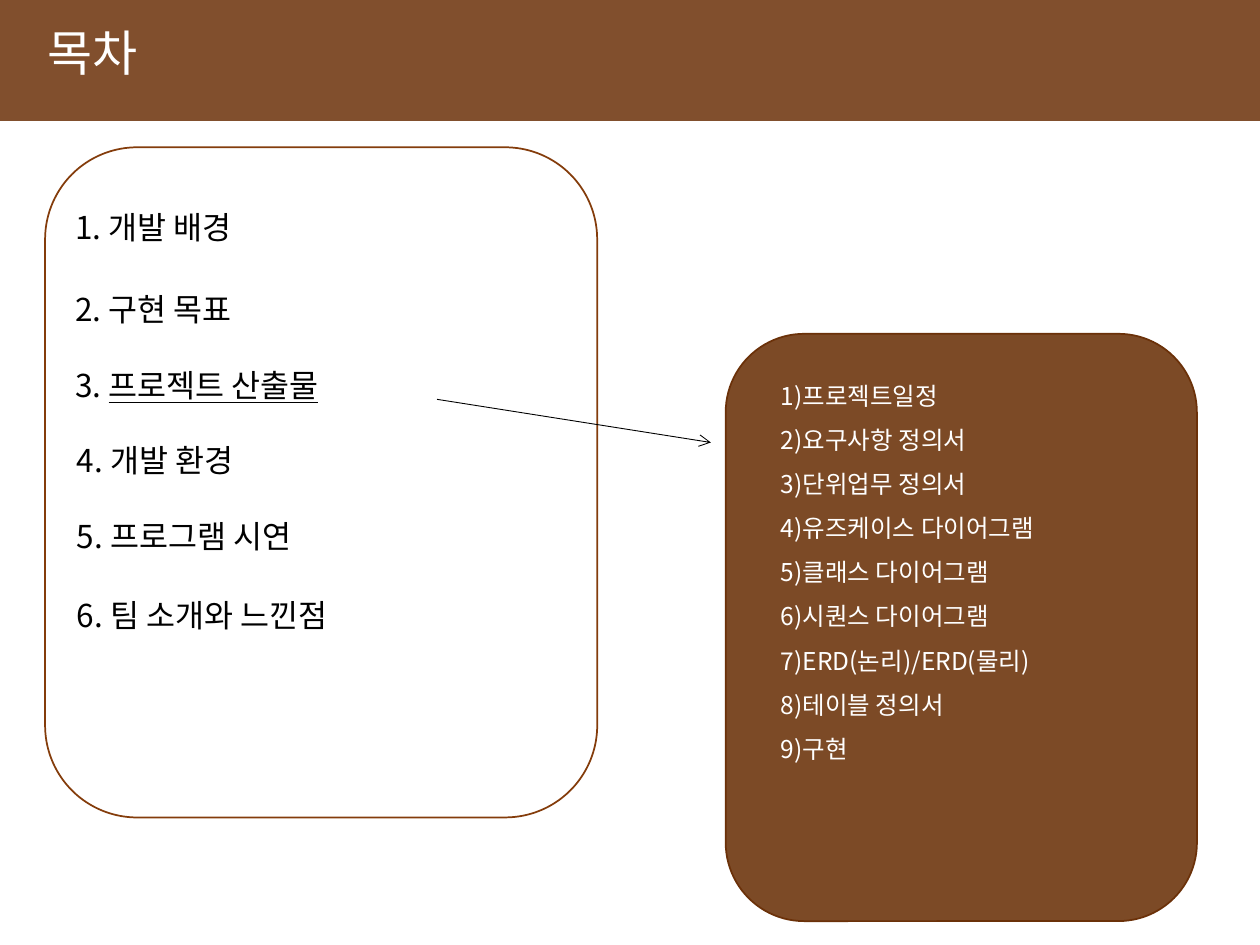
from lxml import etree
from pptx import Presentation
from pptx import util as u
from pptx.dml.color import RGBColor
from pptx.enum import shapes, text
from pptx.oxml import ns

KOREAN = "Noto Sans CJK KR"
BROWN = "6B3109"


def paint(fill, color, opacity=100):
    """Make a fill solid, with its opacity in percent."""
    fill.solid()
    fill.fore_color.rgb = RGBColor.from_string(color)
    if opacity < 100:
        solid = fill._xPr.find(ns.qn("a:solidFill"))
        etree.SubElement(solid[0], ns.qn("a:alpha"), val=str(opacity * 1000))


def add_text(left, top, width, height, lines, size, color, latin=KOREAN, spacing=None):
    """Add an unwrapped text box, one paragraph a line."""
    box = page.shapes.add_textbox(u.Cm(left), u.Cm(top), u.Cm(width), u.Cm(height))
    frame = box.text_frame
    frame.word_wrap = False
    frame.auto_size = text.MSO_AUTO_SIZE.SHAPE_TO_FIT_TEXT
    frame.text = "\n".join(lines)
    for para in frame.paragraphs:
        para.line_spacing = spacing
        for span in para.runs:
            span.font.size = u.Pt(size)
            span.font.name = latin
            paint(span.font.fill, color)
            etree.SubElement(span._r.get_or_add_rPr(), ns.qn("a:ea"), typeface=KOREAN)
    return box


deck = Presentation()
deck.slide_width, deck.slide_height = u.Cm(25.4), u.Cm(19.05)
page = deck.slides.add_slide(deck.slide_layouts[6])

# Title band
band = page.shapes.add_shape(shapes.MSO_SHAPE.RECTANGLE, 0, 0, deck.slide_width, u.Cm(2.44))
band.shadow.inherit = False
paint(band.fill, BROWN, 85)
band.line.fill.background()
add_text(0.7, 0.33, 2.5, 1.45, ["목차"], 28, "FFFFFF", latin="Calibri")

# Contents: left, top, width, wording
contents = [
    (1.27, 4.06, 4.06, "개발 배경"),
    (1.27, 5.72, 4.06, "구현 목표"),
    (1.27, 7.26, 5.99, "프로젝트 산출물"),
    (1.3, 8.76, 4.06, "개발 환경"),
    (1.3, 10.29, 5.36, "프로그램 시연"),
    (1.3, 11.89, 6.22, "팀 소개와 느낀점"),
]
for number, (left, top, width, wording) in enumerate(contents, 1):
    item = add_text(left, top, width, 1.02, [f"{number}. {wording}"], 18, "000000")
    if wording == "프로젝트 산출물":
        # Underline the wording but not its number
        para = item.text_frame.paragraphs[0]
        span = para.runs[0]
        span.text = f"{number}. "
        underlined = para.add_run()
        underlined.text = wording
        underlined.font.size = u.Pt(18)
        underlined.font.name = KOREAN
        underlined.font.underline = True
        paint(underlined.font.fill, "000000")
        etree.SubElement(underlined._r.get_or_add_rPr(), ns.qn("a:ea"), typeface=KOREAN)

# Contents frame
frame = page.shapes.add_shape(
    shapes.MSO_SHAPE.ROUNDED_RECTANGLE, u.Cm(0.91), u.Cm(2.97), u.Cm(11.13), u.Cm(13.51))
frame.shadow.inherit = False
frame.fill.background()
paint(frame.line.fill, "843C0B")
frame.line.width = u.Pt(1)

# Arrow to the details
arrow = page.shapes.add_connector(
    shapes.MSO_CONNECTOR.STRAIGHT, u.Cm(8.81), u.Cm(8.05), u.Cm(14.33), u.Cm(8.92))
paint(arrow.line.fill, "000000")
arrow.line.width = u.Pt(0.5)
etree.SubElement(arrow.line._get_or_add_ln(), ns.qn("a:tailEnd"), type="arrow")
etree.SubElement(arrow._element.spPr, ns.qn("a:effectLst"))

# Details panel
panel = page.shapes.add_shape(
    shapes.MSO_SHAPE.ROUNDED_RECTANGLE, u.Cm(14.63), u.Cm(6.73), u.Cm(9.5), u.Cm(11.84))
panel.shadow.inherit = False
paint(panel.fill, BROWN, 88)
paint(panel.line.fill, BROWN)
panel.line.width = u.Pt(1)

details = [
    "프로젝트일정", "요구사항 정의서", "단위업무 정의서", "유즈케이스 다이어그램",
    "클래스 다이어그램", "시퀀스 다이어그램", "ERD(논리)/ERD(물리)", "테이블 정의서", "구현",
]
add_text(15.49, 7.26, 6.15, 8.33,
         [f"{number}){wording}" for number, wording in enumerate(details, 1)],
         14, "FFFFFF", spacing=1.5)

deck.save("out.pptx")
